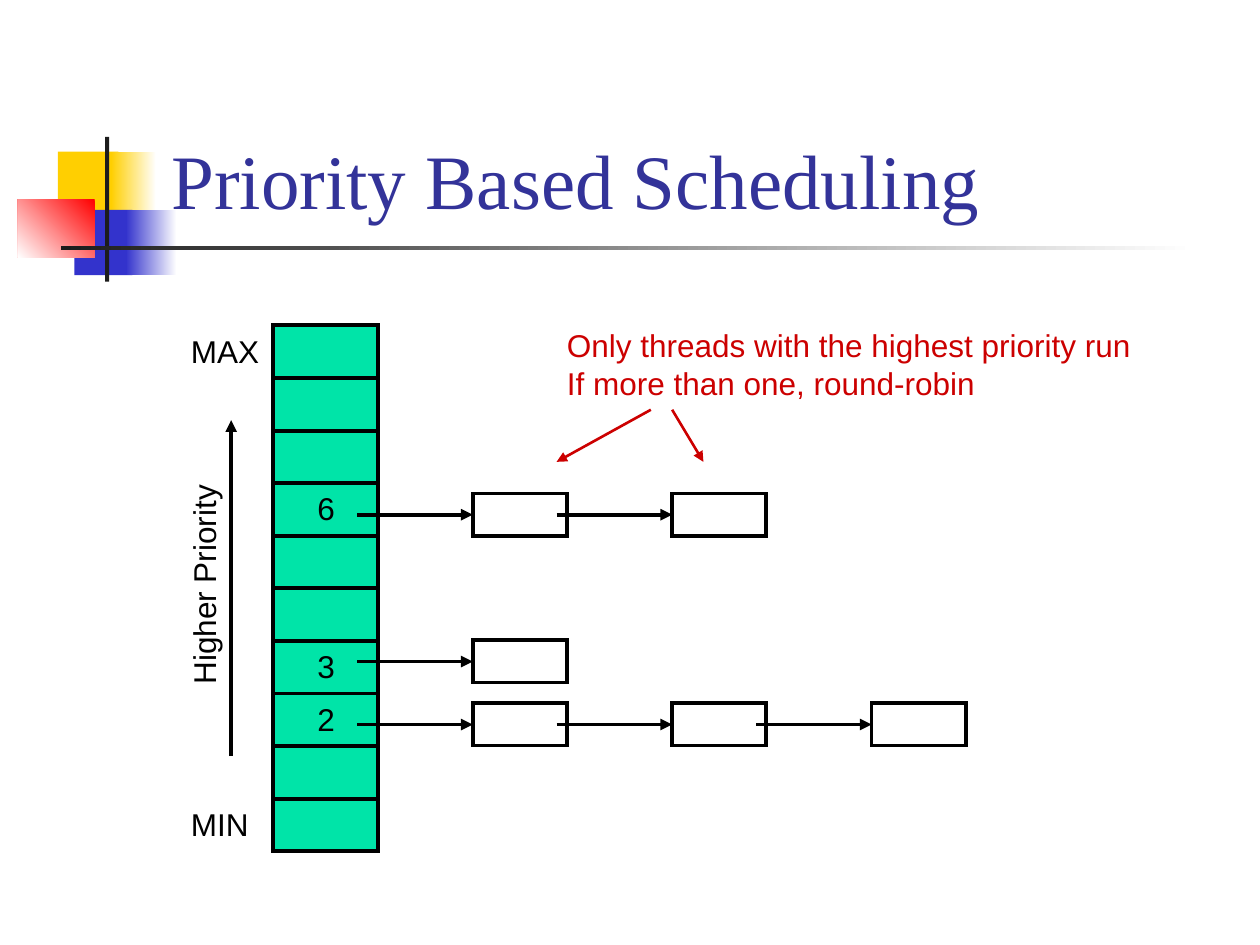
from lxml import etree
from pptx import Presentation
from pptx.dml.color import RGBColor
from pptx.enum.shapes import MSO_CONNECTOR, MSO_SHAPE
from pptx.enum.text import MSO_ANCHOR, MSO_AUTO_SIZE, PP_ALIGN
from pptx.oxml.ns import qn
from pptx.util import Cm, Pt

RECT = MSO_SHAPE.RECTANGLE
STRAIGHT = MSO_CONNECTOR.STRAIGHT
BOTTOM = MSO_ANCHOR.BOTTOM
LEFT = PP_ALIGN.LEFT
GROW = MSO_AUTO_SIZE.SHAPE_TO_FIT_TEXT

COLORS = {
    "white": "FFFFFF", "black": "000000", "charcoal": "1C1C1C",
    "yellow": "FFCF01", "blue": "3333CC", "red": "FF0000",
    "title": "333399", "green": "00E4A8", "note": "CC0000",
}

# Priority table and thread queues, in cm
TABLE_X, TABLE_Y, TABLE_W = 5.5, 6.56, 2.12
ROW_H, ROWS = 1.06, 10
NODE_X, NODE_STEP, NODE_W, NODE_H = 9.53, 4.02, 1.9, 0.85
ARROW_LEN = 2.33
# (label, table row, top of the nodes, number of threads)
QUEUES = [("2", 7, 14.18, 3), ("6", 3, 9.95, 2), ("3", 6, 12.91, 1)]


def rgb(name):
    return RGBColor.from_string(COLORS[name])


class Painter:
    """Draws styled elements on one slide; all lengths are in cm."""

    def __init__(self, slide):
        self.slide = slide
        self.shapes = slide.shapes
        self.font, self.title_font = "Arial", "Times New Roman"
        self.size, self.title_size = 18, 44
        self.line_width = 2.25

    def format_text(self, tf, font, size, color):
        for p in tf.paragraphs:
            p.alignment = LEFT
            p.font.name = font
            p.font.size = Pt(size)
            p.font.color.rgb = rgb(color)

    def title(self, text, x, y, w, h):
        sp = self.shapes.title
        sp.left, sp.top, sp.width, sp.height = Cm(x), Cm(y), Cm(w), Cm(h)
        tf = sp.text_frame
        tf.text = text
        tf.vertical_anchor = BOTTOM
        self.format_text(tf, self.title_font, self.title_size, color="title")

    def box(self, x, y, w, h, fill=None, outlined=False):
        sp = self.shapes.add_shape(RECT, Cm(x), Cm(y), Cm(w), Cm(h))
        sp.shadow.inherit = False
        if fill:
            sp.fill.solid()
            sp.fill.fore_color.rgb = rgb(fill)
        else:
            sp.fill.background()
        if outlined:
            sp.line.color.rgb = rgb("black")
            sp.line.width = Pt(self.line_width)
            etree.SubElement(sp.line._get_or_add_ln(), qn("a:miter"), lim="800000")
        else:
            sp.line.fill.background()
        return sp

    def fade(self, x, y, w, h, start, end, angle=180):
        """Gradient bar; the angle runs counter-clockwise."""
        fill = self.box(x, y, w, h).fill
        fill.gradient()
        fill.gradient_angle = angle
        for stop, color, position in zip(fill.gradient_stops, (start, end), (0, 1)):
            stop.color.rgb = rgb(color)
            stop.position = position

    def line(self, x1, y1, x2, y2, color="black", width=None, arrow=False):
        c = self.shapes.add_connector(STRAIGHT, Cm(x1), Cm(y1), Cm(x2), Cm(y2))
        c.line.color.rgb = rgb(color)
        c.line.width = Pt(width or self.line_width)
        if arrow:
            etree.SubElement(c.line._get_or_add_ln(), qn("a:tailEnd"), type="triangle")
        etree.SubElement(c._element.spPr, qn("a:effectLst"))

    def label(self, text, x, y, w, h=1.02, color="black", rotation=0):
        sp = self.shapes.add_textbox(Cm(x), Cm(y), Cm(w), Cm(h))
        sp.rotation = rotation
        tf = sp.text_frame
        tf.word_wrap = False
        tf.auto_size = GROW
        tf.text = text
        self.format_text(tf, self.font, self.size, color)

    def node(self, x, y):
        """Thread box with the arrow that leads to it."""
        self.box(x, y, NODE_W, NODE_H, outlined=True)
        middle = y + NODE_H / 2
        self.line(x - ARROW_LEN, middle, x, middle, arrow=True)


def draw_decoration(painter):
    painter.box(1.17, 3.06, 1.22, 1.32, "yellow")
    painter.fade(2.24, 3.06, 0.91, 1.32, "white", "yellow")
    painter.box(1.5, 4.23, 1.17, 1.32, "blue")
    painter.fade(2.54, 4.23, 1.02, 1.32, "white", "blue")
    painter.fade(0.36, 4.02, 1.55, 1.17, "red", "white", angle=225)
    painter.box(2.12, 2.76, 0.08, 2.92, "charcoal")
    painter.fade(1.23, 4.95, 22.86, 0.09, "white", "charcoal")


def draw_priority_table(painter):
    painter.box(TABLE_X, TABLE_Y, TABLE_W, ROWS * ROW_H, "green", outlined=True)
    for row in range(1, ROWS):
        y = TABLE_Y + row * ROW_H
        painter.line(TABLE_X, y, TABLE_X + TABLE_W, y)
    painter.label("MAX", 3.6, TABLE_Y, 1.88)
    painter.label("MIN", 3.6, TABLE_Y + (ROWS - 1) * ROW_H, 1.68)
    painter.line(4.66, 15.24, 4.66, 8.47, arrow=True)
    painter.label("Higher Priority", 1.66, 11.09, 4.9, rotation=270)


def draw_queues(painter):
    for name, row, top, count in QUEUES:
        for i in range(count):
            painter.node(NODE_X + i * NODE_STEP, top)
        painter.label(name, 6.15, TABLE_Y + row * ROW_H, 0.86)


def draw_note(painter):
    for x1, x2 in ((13.12, 11.22), (13.55, 14.18)):
        painter.line(x1, 8.26, x2, 9.31, "note", 1.5, arrow=True)
    painter.label("Only threads with the highest priority run\n"
                  "If more than one, round-robin",
                  11.18, 6.45, 12.4, 1.78, color="note")


def main():
    prs = Presentation()
    prs.slide_width, prs.slide_height = Cm(25.4), Cm(19.05)
    painter = Painter(prs.slides.add_slide(prs.slide_layouts[5]))
    draw_decoration(painter)
    painter.title("Priority Based Scheduling", 3.2, 0.6, 21.64, 4.06)
    draw_priority_table(painter)
    draw_queues(painter)
    draw_note(painter)
    prs.save("out.pptx")


if __name__ == "__main__":
    main()
